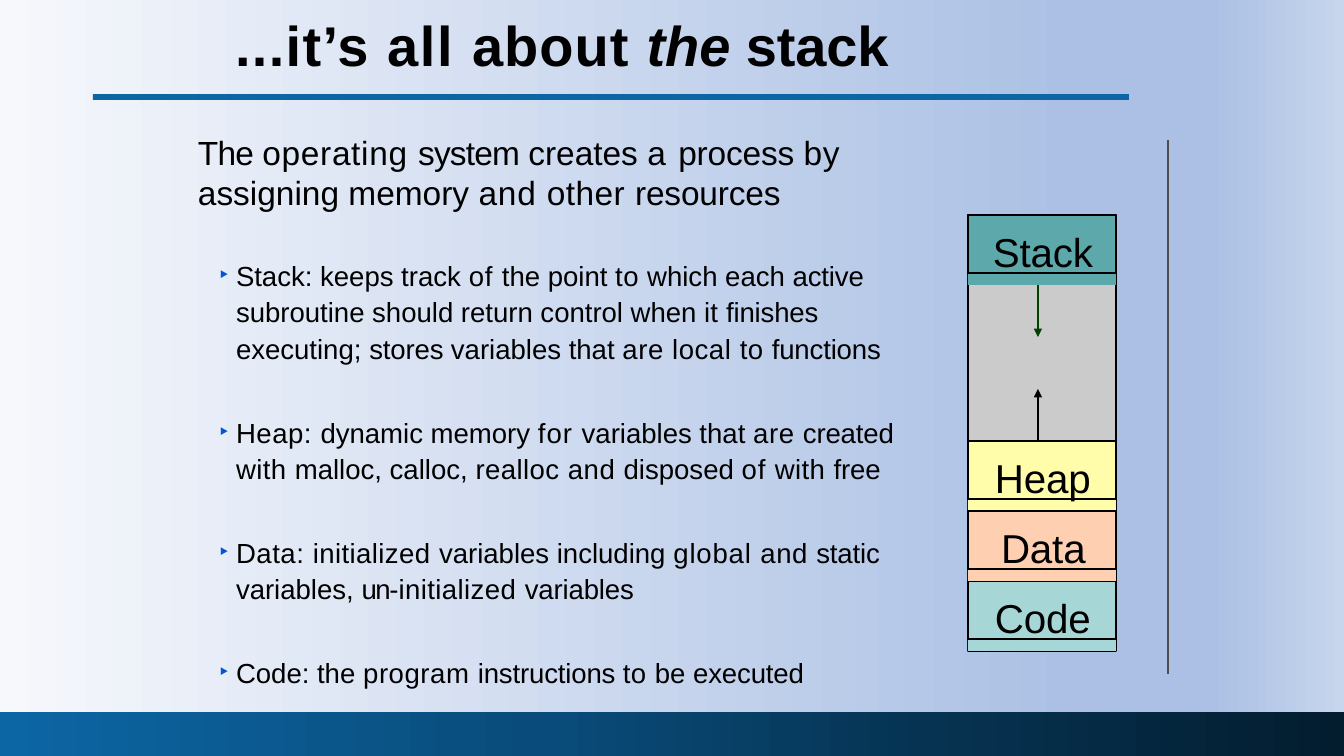
from lxml import etree
from pptx import Presentation
from pptx import util as u
from pptx.dml.color import RGBColor
from pptx.enum import shapes, text
from pptx.oxml import ns


class Theme:
    font = "Arial"
    black, blue, grey = "000000", "0C66A4", "CBCBCB"
    bullet, rule, arrow = "0056D6", "4C4D4C", "004100"
    stack, heap, data, code = "5DA8AB", "FFFDA9", "FECFB1", "A6D6D6"
    back = ((0, "F6F8FC"), (80, "ABC0E4"), (90, "ABC0E4"), (100, "C7D5ED"))
    foot = ((0, "0C66A4"), (40, "094C7B"), (69, "063352"), (100, "031D2F"))
    title, intro, item, label = 40, 23.9, 19.7, 28.8


PX = 914400 / 100.8  # EMU in one px


def write(par, runs, size, bold=False):
    """Add runs given as (words, letter spacing in points)."""
    for words, gap in runs:
        run = par.add_run()
        run.text = words
        run.font.name, run.font.size = Theme.font, u.Pt(size)
        run.font.bold = bold
        run.font.color.rgb = RGBColor.from_string(Theme.black)
        run.font._element.set("spc", str(round(gap * 100)))


def block(x, y, w, h, fill=None, edge=None):
    """Add a plain rectangle, sized in px."""
    box = slide.shapes.add_shape(shapes.MSO_SHAPE.RECTANGLE,
                                 *(round(n * PX) for n in (x, y, w, h)))
    box.shadow.inherit = False
    if fill:
        box.fill.solid()
        box.fill.fore_color.rgb = RGBColor.from_string(fill)
    else:
        box.fill.background()
    if edge:
        box.line.color.rgb = RGBColor.from_string(edge)
        box.line.width = u.Pt(1.1)
    else:
        box.line.fill.background()
    return box


deck = Presentation()
deck.slide_width, deck.slide_height = round(1344 * PX), round(756 * PX)
slide = deck.slides.add_slide(deck.slide_layouts[1])

# Background, footer band and title rule
foot = block(0, 712, 1344, 44, Theme.blue)
block(93, 94, 1036, 6, Theme.blue)
for fill, root, stops in ((slide.background.fill, slide.element, Theme.back),
                          (foot.fill, foot.element, Theme.foot)):
    fill.gradient()
    fill.gradient_angle = 0
    ramp = root.find(".//" + ns.qn("a:gsLst"))
    for old in list(ramp):
        ramp.remove(old)
    for spot, tone in stops:
        stop = etree.SubElement(ramp, ns.qn("a:gs"), pos=str(spot * 1000))
        etree.SubElement(stop, ns.qn("a:srgbClr"), val=tone)

# Title and body frames
title, body = slide.shapes.title, slide.placeholders[1]
for holder, spot, anchor in (
        (title, (235, 10, 816, 69), text.MSO_ANCHOR.MIDDLE),
        (body, (198, 132, 722, 570), text.MSO_ANCHOR.TOP)):
    holder.left, holder.top, holder.width, holder.height = (
        round(n * PX) for n in spot)
    frame = holder.text_frame
    frame.margin_left = frame.margin_right = 0
    frame.margin_top = frame.margin_bottom = 0
    frame.word_wrap = True
    frame.auto_size = text.MSO_AUTO_SIZE.NONE
    frame.vertical_anchor = anchor

# Title
head = title.text_frame.paragraphs[0]
head.alignment = text.PP_ALIGN.LEFT
write(head, [("…it’s ".replace("…", "..."), 1), ("all ", 1.3), ("about ", 0.8),
             ("the ", 0), ("stack", -0.1)], Theme.title, True)
head.runs[3].font.italic = True

# Intro
intro = body.text_frame.paragraphs[0]
intro.alignment = text.PP_ALIGN.LEFT
intro.line_spacing, intro.space_before = u.Pt(28.6), u.Pt(0)
props = intro._p.get_or_add_pPr()
props.set("marL", "0")
props.set("indent", "0")
etree.SubElement(props, ns.qn("a:buNone"))
write(intro, [("The ", -0.6), ("operating ", 0.5), ("system ", -0.6),
              ("creates ", 0), ("a ", 1.1), ("process ", -0.1), ("by ", 0.6),
              ("assigning memory ", 0), ("and ", 0.6), ("other ", 0.3),
              ("resources", -0.1)], Theme.intro)

# Bullet list
items = (
    [("Stack: keeps track ", 0), ("of ", 0.6), ("the point ", 0), ("to ", 0.3),
     ("which each ", 0), ("active ", -0.1),
     ("subroutine should return control when it ", 0), ("finishes ", -0.1),
     ("executing; ", 0), ("stores ", -0.1), ("variables that ", 0),
     ("are local ", 0.4), ("to ", 0.3), ("functions", -0.1)],
    [("Heap: ", 0.4), ("dynamic memory ", 0), ("for ", 0.7),
     ("variables that ", 0), ("are ", 0.4), ("created ", -0.1), ("with ", 0.3),
     ("malloc, calloc, ", 0), ("realloc ", 0.3), ("and ", 0.4),
     ("disposed ", 0), ("of ", 0.6), ("with ", 0.3), ("free", -0.1)],
    [("Data: ", 0.4), ("initialized ", 0.3), ("variables including ", 0),
     ("global ", 0.6), ("and ", 0.4), ("static ", -0.1), ("variables, ", 0),
     ("un-", -1), ("initialized ", 0.3), ("variables", -0.1)],
    [("Code: the ", 0), ("program ", 0.4), ("instructions ", -0.1),
     ("to ", 0.3), ("be ", 0), ("executed", -0.1)],
)
for rank, runs in enumerate(items):
    par = body.text_frame.add_paragraph()
    par.alignment = text.PP_ALIGN.LEFT
    par.line_spacing, par.space_before = u.Pt(26), u.Pt(34 if rank else 31)
    props = par._p.get_or_add_pPr()
    props.set("marL", str(round(38 * PX)))
    props.set("indent", str(round(-17 * PX)))
    tint = etree.SubElement(props, ns.qn("a:buClr"))
    etree.SubElement(tint, ns.qn("a:srgbClr"), val=Theme.bullet)
    etree.SubElement(props, ns.qn("a:buSzPct"), val="96000")
    etree.SubElement(props, ns.qn("a:buFont"), typeface=Theme.font)
    etree.SubElement(props, ns.qn("a:buChar"), char="‣")
    write(par, runs, Theme.item)

# Memory map: free space, outer frame, then the four areas
left, wide, tall = 968, 148, 70
top, low = 215, 441  # stack and heap
block(left, top + tall, wide, low - top - tall, Theme.grey)
block(left, top, wide, low + 3 * tall - top, edge=Theme.black)
for name, y, fill, inset in (("Stack", top, Theme.stack, 25),
                             ("Heap", low, Theme.heap, 27),
                             ("Code", low + 2 * tall, Theme.code, 27),
                             ("Data", low + tall, Theme.data, 33)):
    block(left, y, wide, tall, fill)
    frame = block(left, y, wide, 58, edge=Theme.black).text_frame
    frame.margin_left, frame.margin_top = round(inset * PX), round(12 * PX)
    frame.margin_right = frame.margin_bottom = 0
    frame.word_wrap = True
    frame.vertical_anchor = text.MSO_ANCHOR.TOP
    frame.paragraphs[0].alignment = text.PP_ALIGN.LEFT
    write(frame.paragraphs[0], [(name, -0.1)], Theme.label)

# Growth arrows and side rule
for x, start, end, tone, weight, tip in (
        (1038, top + tall, 337, Theme.arrow, 1.84, True),
        (1038, low, 389, Theme.black, 1.84, True),
        (1168, 674, 140, Theme.rule, 1.47, False)):
    line = slide.shapes.add_connector(
        shapes.MSO_CONNECTOR.STRAIGHT,
        *(round(n * PX) for n in (x, start, x, end)))
    line.line.color.rgb = RGBColor.from_string(tone)
    line.line.width = u.Pt(weight)
    props = line.element.spPr
    if tip:
        etree.SubElement(props.find(ns.qn("a:ln")), ns.qn("a:tailEnd"),
                         type="triangle")
    etree.SubElement(props, ns.qn("a:effectLst"))

deck.save("out.pptx")
